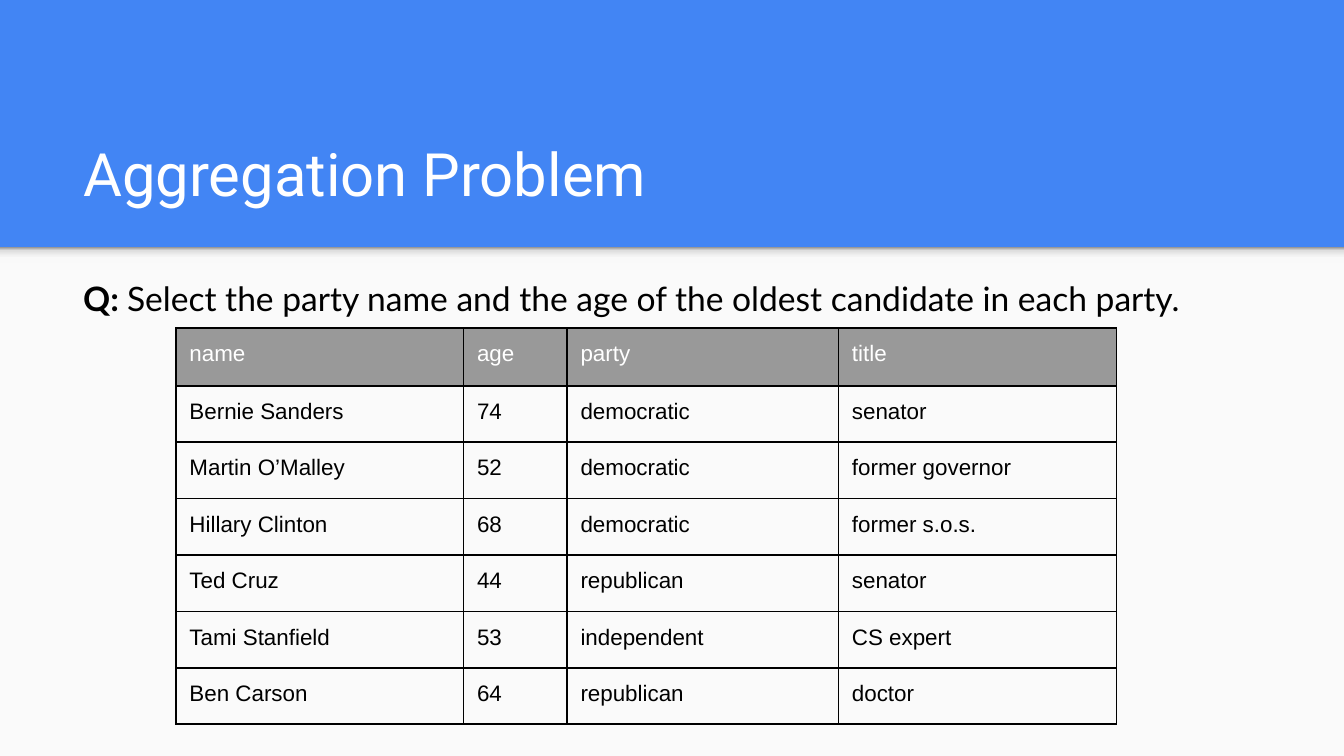
from lxml import etree
from pptx import Presentation
from pptx.dml.color import RGBColor
from pptx.enum.shapes import MSO_SHAPE
from pptx.enum.text import MSO_ANCHOR
from pptx.oxml.ns import qn
from pptx.util import Inches, Pt

RECTANGLE = MSO_SHAPE.RECTANGLE
TOP, BOTTOM = MSO_ANCHOR.TOP, MSO_ANCHOR.BOTTOM

COLORS = {"blue": "4285F4", "paper": "FAFAFA", "white": "FFFFFF",
          "black": "000000", "gray": "999999"}
SHADOW_STOPS = [(0, "F9F9F9"), (36, "F9F9F9"), (80, "DEDEDE"), (100, "999999")]

TITLE = [("Aggregation Problem", False)]
QUESTION = [
    ("Q: ", True),
    ("Select the party name and the age of the oldest candidate in each party.", False),
]
CANDIDATES = [
    ("name", "age", "party", "title"),
    ("Bernie Sanders", "74", "democratic", "senator"),
    ("Martin O’Malley", "52", "democratic", "former governor"),
    ("Hillary Clinton", "68", "democratic", "former s.o.s."),
    ("Ted Cruz", "44", "republican", "senator"),
    ("Tami Stanfield", "53", "independent", "CS expert"),
    ("Ben Carson", "64", "republican", "doctor"),
]
COLUMN_WIDTHS = [2.14, 0.77, 2.02, 2.07]
HEADER_HEIGHT, ROW_HEIGHT = 0.43, 0.42

SLIDE_WIDTH = 10
SLIDE_HEIGHT = SLIDE_WIDTH * 9 / 16
BAND_BOTTOM = 1.84
TEXT_LEFT, TEXT_WIDTH = 0.52, 8.99
MARGINS = dict.fromkeys(
    ("margin_left", "margin_right", "margin_top", "margin_bottom"), Inches(0.1))


def rgb(name):
    """Return the named colour."""
    return RGBColor.from_string(COLORS[name])


def apply(target, values):
    """Set each attribute of target from a dict."""
    for key, value in values.items():
        setattr(target, key, value)


def add_runs(paragraph, runs, font, size, color):
    """Add (text, bold) runs in one font."""
    for text, bold in runs:
        run = paragraph.add_run()
        run.text = text
        apply(run.font, {"name": font, "size": Pt(size), "bold": bold})
        run.font.color.rgb = rgb(color)


def add_panel(slide, top, height):
    """Add a full-width rectangle without outline or shadow."""
    panel = slide.shapes.add_shape(
        RECTANGLE, 0, Inches(top), Inches(SLIDE_WIDTH), Inches(height))
    panel.shadow.inherit = False
    panel.line.fill.background()
    return panel


def shade_upward(panel):
    """Fill a panel with the soft edge gradient, darkest at its top."""
    panel.fill.gradient()
    panel.fill.gradient_angle = 90
    stops = panel.fill._fill._gradFill.find(qn("a:gsLst"))
    for stop in list(stops):
        stops.remove(stop)
    for percent, color in SHADOW_STOPS:
        stop = etree.SubElement(stops, qn("a:gs"), pos=str(percent * 1000))
        etree.SubElement(stop, qn("a:srgbClr"), val=color)


def add_text(slide, top, height, anchor, runs, font, size, color, spacing=1.0):
    """Add a wrapped text box in the common text column."""
    box = slide.shapes.add_textbox(
        Inches(TEXT_LEFT), Inches(top), Inches(TEXT_WIDTH), Inches(height))
    apply(box.text_frame, {**MARGINS, "word_wrap": True, "vertical_anchor": anchor})
    paragraph = box.text_frame.paragraphs[0]
    paragraph.line_spacing = spacing
    add_runs(paragraph, runs, font, size, color)


def add_borders(cell):
    """Draw a 1 pt black line on all four sides of a cell."""
    properties = cell._tc.get_or_add_tcPr()
    for side in ("a:lnL", "a:lnR", "a:lnT", "a:lnB"):
        line = etree.SubElement(properties, qn(side), w=str(Pt(1)))
        fill = etree.SubElement(line, qn("a:solidFill"))
        etree.SubElement(fill, qn("a:srgbClr"), val=COLORS["black"])


def add_candidates(slide, left, top):
    """Add the table of candidates."""
    heights = [HEADER_HEIGHT] + [ROW_HEIGHT] * (len(CANDIDATES) - 1)
    table = slide.shapes.add_table(
        len(heights), len(COLUMN_WIDTHS), Inches(left), Inches(top),
        Inches(sum(COLUMN_WIDTHS)), Inches(sum(heights))).table
    apply(table, {"first_row": False, "horz_banding": False})
    for column, width in zip(table.columns, COLUMN_WIDTHS):
        column.width = Inches(width)
    for row, height, values in zip(table.rows, heights, CANDIDATES):
        row.height = Inches(height)
        header = values is CANDIDATES[0]
        for cell, value in zip(row.cells, values):
            apply(cell, {**MARGINS, "vertical_anchor": TOP})
            add_borders(cell)
            if header:
                cell.fill.solid()
                cell.fill.fore_color.rgb = rgb("gray")
            else:
                cell.fill.background()
            add_runs(cell.text_frame.paragraphs[0], [(value, False)],
                     "Arial", 12, "white" if header else "black")


def main():
    """Build and save the slide."""
    deck = Presentation()
    apply(deck, {"slide_width": Inches(SLIDE_WIDTH),
                 "slide_height": Inches(SLIDE_HEIGHT)})
    slide = deck.slides.add_slide(deck.slide_layouts[6])
    slide.background.fill.solid()
    slide.background.fill.fore_color.rgb = rgb("blue")

    paper = add_panel(slide, BAND_BOTTOM, SLIDE_HEIGHT - BAND_BOTTOM)
    paper.fill.solid()
    paper.fill.fore_color.rgb = rgb("paper")
    shade_upward(add_panel(slide, BAND_BOTTOM, 0.12))

    add_text(slide, 0.81, 0.84, BOTTOM, TITLE, "Roboto", 32, "white")
    add_text(slide, 1.92, 0.59, TOP, QUESTION, "Lato", 18, "black", 1.15)
    add_candidates(slide, 1.31, 2.44)
    deck.save("out.pptx")


main()
